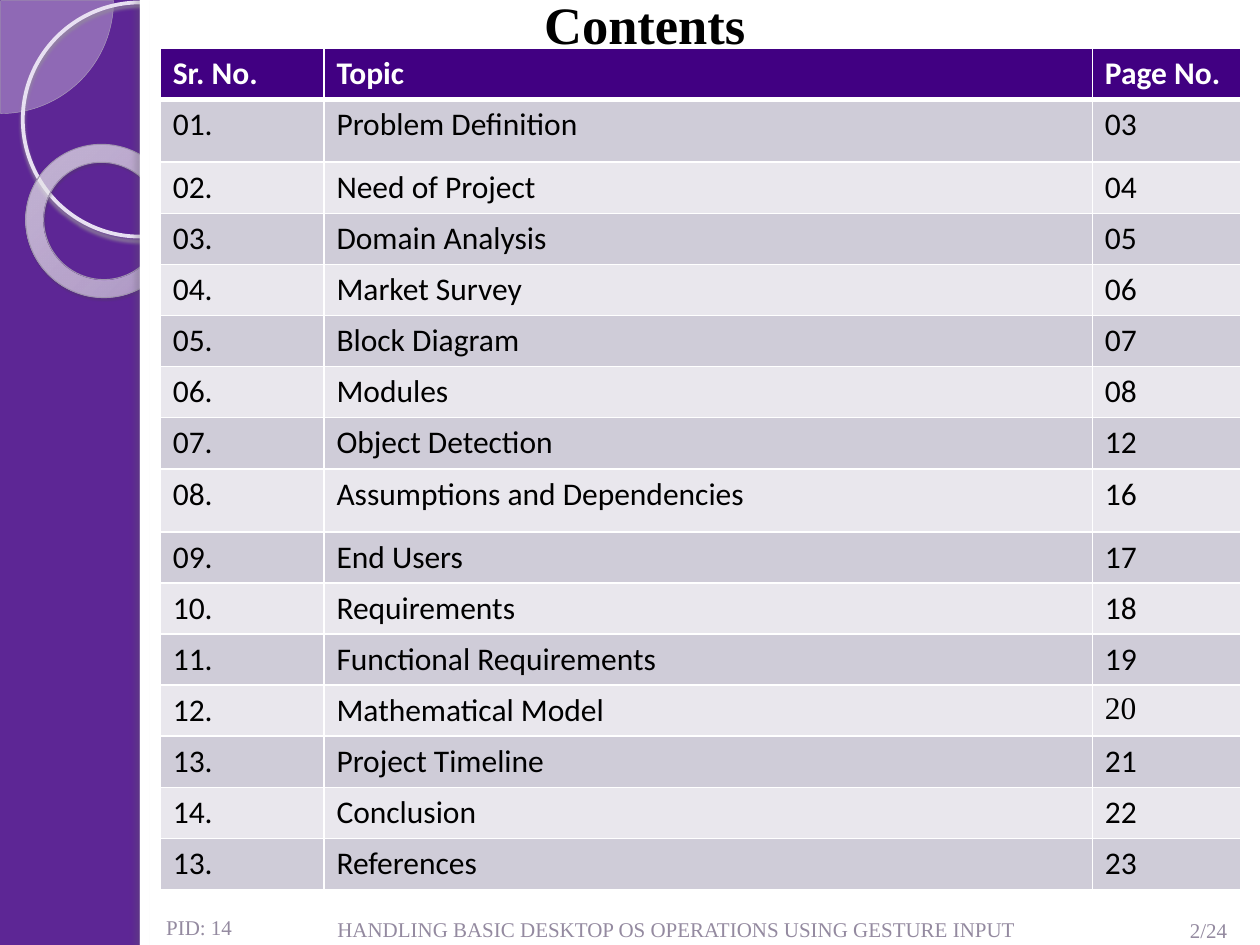
from typing import NamedTuple, Optional

from lxml.etree import SubElement
from pptx import Presentation
from pptx.dml.color import RGBColor
from pptx.enum.shapes import MSO_SHAPE
from pptx.enum.text import MSO_ANCHOR, PP_ALIGN
from pptx.oxml import parse_xml
from pptx.oxml.ns import nsdecls, qn
from pptx.util import Cm, Pt

BACKDROP = RGBColor(0x5D, 0x26, 0x95)
HEADER = RGBColor(0x41, 0x00, 0x82)
BAND_DARK = RGBColor(0xCF, 0xCC, 0xD8)
BAND_LIGHT = RGBColor(0xE9, 0xE7, 0xED)
WHITE = RGBColor(0xFF, 0xFF, 0xFF)
BLACK = RGBColor(0x00, 0x00, 0x00)
FOOTER = RGBColor(0x94, 0x8A, 0xA0)
PIE_FILL = RGBColor(0xF6, 0xF4, 0xF9)
PIE_LINE = RGBColor(0xAC, 0xA0, 0xB9)
CIRCLE_LINE = RGBColor(0xE8, 0xE0, 0xF2)
RING_LINE = RGBColor(0xA0, 0x94, 0xAF)
CIRCLE_SHADOW = RGBColor(0x95, 0x8D, 0x9D)
RING_SHADOW = RGBColor(0x4A, 0x45, 0x50)
STRIP_SHADOW = RGBColor(0x64, 0x60, 0x68)
RING_STOPS = (
    (0, RGBColor(0xF9, 0xF7, 0xFB), 70),
    (70, RGBColor(0xFC, 0xFB, 0xFE), 55),
    (100, RGBColor(0xB0, 0x99, 0xCA), 60),
)
SERIF, SANS = "Times New Roman", "Calibri"


class Shadow(NamedTuple):
    color: RGBColor
    alpha: int
    blur: float
    dist: float
    angle: int


class Decor(NamedTuple):
    kind: MSO_SHAPE
    box: tuple  # left, top, width, height in cm
    fill: Optional[RGBColor] = None
    alpha: int = 100
    line: Optional[RGBColor] = None
    weight: float = 0
    shadow: Optional[Shadow] = None
    adjust: tuple = ()
    rotation: float = 0
    stops: tuple = ()


class Label(NamedTuple):
    text: str
    box: tuple
    size: int = 12
    color: RGBColor = FOOTER
    bold: bool = False
    align: PP_ALIGN = PP_ALIGN.LEFT
    anchor: MSO_ANCHOR = MSO_ANCHOR.BOTTOM
    wrap: bool = True


class Topic(NamedTuple):
    number: str
    title: str
    page: str
    height: float = 1.02
    page_font: str = SANS


DECORS = [
    Decor(MSO_SHAPE.PIE, (-2.26, -2.26, 4.55, 4.55), PIE_FILL, 33, PIE_LINE, 0.25,
          adjust=(0, 54)),
    Decor(MSO_SHAPE.OVAL, (0.46, 0.05, 4.72, 4.72), line=CIRCLE_LINE, weight=2.15,
          shadow=Shadow(CIRCLE_SHADOW, 85, 2, 2, 90)),
    Decor(MSO_SHAPE.DONUT, (0.51, 2.92, 3.12, 3.07), line=RING_LINE, weight=0.58,
          shadow=Shadow(RING_SHADOW, 35, 1, 1.2, 75), adjust=(0.118,),
          rotation=38.6, stops=RING_STOPS),
    Decor(MSO_SHAPE.RECTANGLE, (2.82, 0, 22.58, 19.05), WHITE),
    Decor(MSO_SHAPE.RECTANGLE, (2.82, 0, 0.2, 19.05), WHITE,
          shadow=Shadow(STRIP_SHADOW, 25, 3, 3, 180)),
]
LABELS = [
    Label("Contents", (10.72, -0.28, 4.6, 1.55), 30, BLACK, True,
          anchor=MSO_ANCHOR.TOP, wrap=False),
    Label("PID: 14", (3.1, 18.31, 2.21, 0.76), anchor=MSO_ANCHOR.TOP),
    Label("2/24", (22.81, 18.31, 2.18, 0.81), align=PP_ALIGN.RIGHT),
    Label("HANDLING BASIC DESKTOP OS OPERATIONS USING GESTURE INPUT",
          (6.55, 18.31, 14.88, 0.79)),
]
COLUMNS = (3.3, 15.49, 3.0)
TOPICS = [
    Topic("Sr. No.", "Topic", "Page No."),
    Topic("01.", "Problem Definition", "03", 1.27),
    Topic("02.", "Need of Project", "04"),
    Topic("03.", "Domain Analysis", "05"),
    Topic("04.", "Market Survey", "06"),
    Topic("05.", "Block Diagram", "07"),
    Topic("06.", "Modules", "08"),
    Topic("07.", "Object Detection", "12"),
    Topic("08.", "Assumptions and Dependencies", "16", 1.27),
    Topic("09.", "End Users", "17"),
    Topic("10.", "Requirements", "18"),
    Topic("11.", "Functional Requirements", "19"),
    Topic("12.", "Mathematical Model", "20", page_font=SERIF),
    Topic("13.", "Project Timeline", "21"),
    Topic("14.", "Conclusion", "22"),
    Topic("13.", "References", "23"),
]


def add_color(parent, color: RGBColor, alpha: int) -> None:
    clr = SubElement(parent, qn("a:srgbClr"), val=str(color))
    SubElement(clr, qn("a:alpha"), val=str(alpha * 1000))


def add_decor(slide, d: Decor) -> None:
    sp = slide.shapes.add_shape(d.kind, *map(Cm, d.box))
    sp.rotation = d.rotation
    for i, value in enumerate(d.adjust):
        sp.adjustments[i] = value
    props = sp._element.spPr
    # Fill
    if d.fill is not None:
        sp.fill.solid()
        sp.fill.fore_color.rgb = d.fill
        SubElement(props.find(".//" + qn("a:srgbClr")), qn("a:alpha"), val=str(d.alpha * 1000))
    else:
        sp.fill.background()
    if d.stops:
        grad = parse_xml(
            f'<a:gradFill {nsdecls("a")}><a:gsLst/><a:path path="circle">'
            '<a:fillToRect l="-408000" t="-50000" r="508000" b="150000"/></a:path></a:gradFill>')
        for pos, color, alpha in d.stops:
            add_color(SubElement(grad[0], qn("a:gs"), pos=str(pos * 1000)), color, alpha)
        props.replace(props.find(qn("a:noFill")), grad)
    # Outline
    if d.line is not None:
        sp.line.color.rgb = d.line
        sp.line.width = Pt(d.weight)
    else:
        sp.line.fill.background()
    # Shadow
    sp.shadow.inherit = False
    if d.shadow:
        s = d.shadow
        outer = SubElement(props.find(qn("a:effectLst")), qn("a:outerShdw"),
                           blurRad=str(Pt(s.blur)), dist=str(Pt(s.dist)),
                           dir=str(s.angle * 60000), rotWithShape="0")
        add_color(outer, s.color, s.alpha)


def style_text(tf, font: str, size: int, color: RGBColor, bold: bool) -> None:
    f = tf.paragraphs[0].runs[0].font
    f.name, f.size, f.bold, f.color.rgb = font, Pt(size), bold, color


def add_label(slide, label: Label) -> None:
    tf = slide.shapes.add_textbox(*map(Cm, label.box)).text_frame
    tf.word_wrap = label.wrap
    tf.vertical_anchor = label.anchor
    tf.text = label.text
    tf.paragraphs[0].alignment = label.align
    style_text(tf, SERIF, label.size, label.color, label.bold)


def set_borders(cell, top: float, bottom: float) -> None:
    props = cell._tc.get_or_add_tcPr()
    for i, (side, width) in enumerate((("L", 1), ("R", 1), ("T", top), ("B", bottom))):
        props.insert(i, parse_xml(
            f'<a:ln{side} {nsdecls("a")} w="{Pt(width)}"><a:solidFill>'
            f'<a:srgbClr val="{WHITE}"/></a:solidFill></a:ln{side}>'))


def add_contents(slide, topics: list) -> None:
    height = sum(t.height for t in topics)
    table = slide.shapes.add_table(len(topics), len(COLUMNS), Cm(3.23), Cm(0.97),
                                   Cm(sum(COLUMNS)), Cm(height)).table
    for col, width in zip(table.columns, COLUMNS):
        col.width = Cm(width)
    for i, topic in enumerate(topics):
        table.rows[i].height = Cm(topic.height)
        head = i == 0
        fill = HEADER if head else (BAND_LIGHT, BAND_DARK)[i % 2]
        fonts = (SANS, SANS, topic.page_font)
        for j, (text, font) in enumerate(zip(topic[:3], fonts)):
            cell = table.cell(i, j)
            cell.fill.solid()
            cell.fill.fore_color.rgb = fill
            set_borders(cell, 3 if i == 1 else 1, 3 if head else 1)
            cell.text_frame.text = text
            style_text(cell.text_frame, font, 18, WHITE if head else BLACK, head)


def main() -> None:
    prs = Presentation()
    prs.slide_width, prs.slide_height = Cm(25.4), Cm(19.05)
    slide = prs.slides.add_slide(prs.slide_layouts[6])
    # Backdrop and side decoration
    slide.background.fill.solid()
    slide.background.fill.fore_color.rgb = BACKDROP
    for decor in DECORS:
        add_decor(slide, decor)
    # Contents table, title and footer
    add_contents(slide, TOPICS)
    for label in LABELS:
        add_label(slide, label)
    prs.save("out.pptx")


if __name__ == "__main__":
    main()
